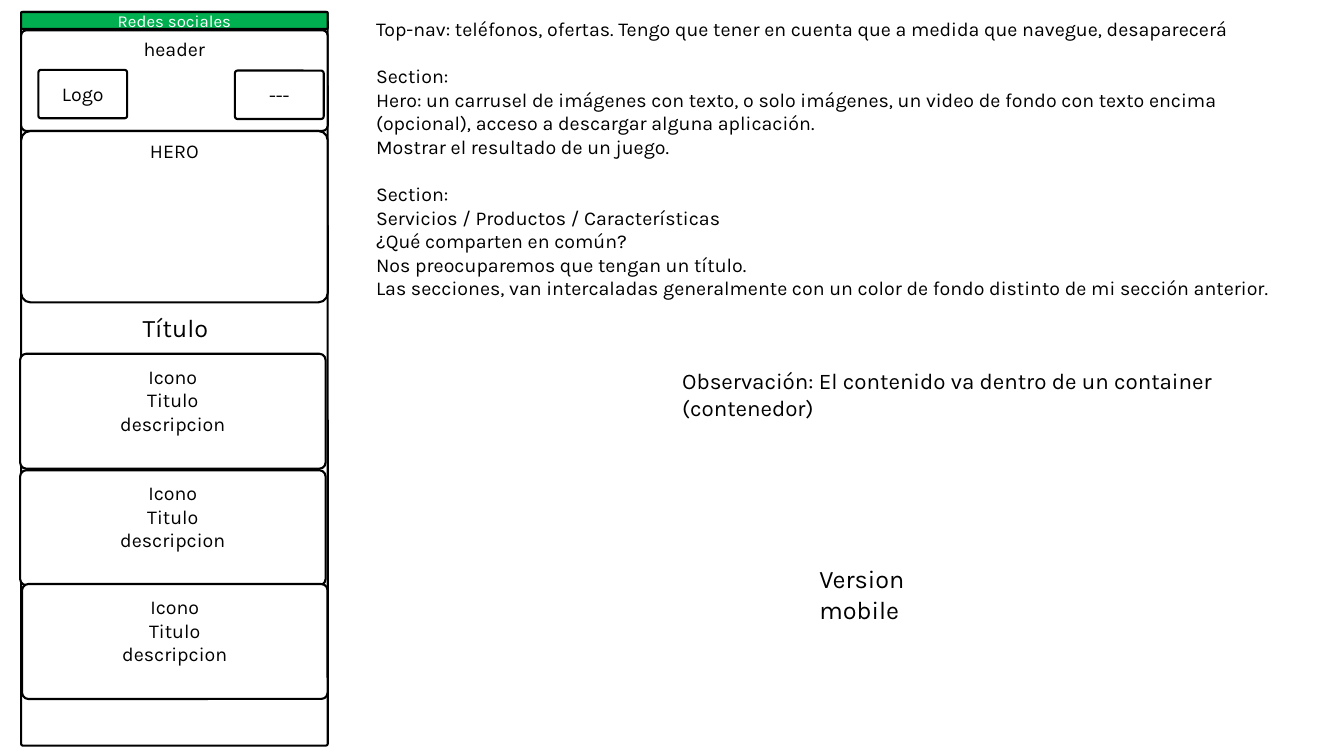
import pptx
import pptx.util
import pptx.dml.color
import pptx.enum.shapes
import pptx.enum.text
import pptx.oxml.ns
import lxml.etree

Pt = pptx.util.Pt
Align = pptx.enum.text.PP_ALIGN
Anchor = pptx.enum.text.MSO_ANCHOR
BLACK = pptx.dml.color.RGBColor(0, 0, 0)
WHITE = pptx.dml.color.RGBColor(255, 255, 255)
GREEN = pptx.dml.color.RGBColor(0, 176, 80)
LINE = Pt(16.9)  # height of one line at 14 points


def write(shape, lines, size=14, color=BLACK, align=Align.LEFT, **frame):
    text = shape.text_frame
    base = {"word_wrap": True, "vertical_anchor": Anchor.TOP,
            "auto_size": pptx.enum.text.MSO_AUTO_SIZE.NONE}
    for name, value in {**base, **frame}.items():
        setattr(text, name, value)
    text.text = "\n".join(lines)
    for para in text.paragraphs:
        gap = LINE if para.text == "Section:" else Pt(0)
        for name, value in {"alignment": align, "space_before": gap}.items():
            setattr(para, name, value)
        font = para.runs[0].font
        for name, value in {"name": "Karla", "size": Pt(size)}.items():
            setattr(font, name, value)
        font.color.rgb = color


def block(left, top, width, height, fill=WHITE, curve=0.054):
    kind = pptx.enum.shapes.MSO_SHAPE.ROUNDED_RECTANGLE
    box = slide.shapes.add_shape(kind, Pt(left), Pt(top), Pt(width), Pt(height))
    box.adjustments[0] = curve
    box.shadow.inherit = False
    box.fill.solid()
    box.fill.fore_color.rgb = fill
    box.line.color.rgb = BLACK
    box.line.width = Pt(1.5)
    return box


deck = pptx.Presentation()
deck.slide_width, deck.slide_height = Pt(960), Pt(540)
slide = deck.slides.add_slide(deck.slide_layouts[1])
title, body = slide.placeholders

# Title and notes
places = [(title, 578, 399, 131, 50), (body, 261.4, 8.6, 683, 211)]
for shape, *place in places:
    for name, value in zip(("left", "top", "width", "height"), place):
        setattr(shape, name, Pt(value))
write(title, ["Version mobile"], size=18)
write(body, [
    "Top-nav: teléfonos, ofertas. Tengo que tener en cuenta que a medida que navegue, desaparecerá",
    "Section:",
    "Hero: un carrusel de imágenes con texto, o solo imágenes, un video de fondo con texto encima (opcional), acceso a descargar alguna aplicación.",
    "Mostrar el resultado de un juego.",
    "Section:",
    "Servicios / Productos / Características",
    "¿Qué comparten en común?",
    "Nos preocuparemos que tengan un título.",
    "Las secciones, van intercaladas generalmente con un color de fondo distinto de mi sección anterior.",
])
for para in body.text_frame.paragraphs:
    props = para._p.get_or_add_pPr()
    props.set("marL", "0")
    props.set("indent", "0")
    lxml.etree.SubElement(props, pptx.oxml.ns.qn("a:buNone"))

# Phone frame and top bar
block(15.1, 8.6, 219, 524, curve=0.006)
bar = block(15.1, 8.6, 219, 12.2, fill=GREEN)
write(bar, ["Redes sociales"], size=12, color=WHITE, align=Align.CENTER,
      vertical_anchor=Anchor.MIDDLE)

# Header and hero
for label, top, height in [("header", 21.6, 72), ("HERO", 93.6, 122.4)]:
    write(block(15.1, top, 219, height), [label], align=Align.CENTER)

# Header buttons
for label, left, top in [("Logo", 27.4, 49.9), ("---", 167.8, 50.4)]:
    write(block(left, top, 63.4, 34.6), [label], align=Align.CENTER,
          vertical_anchor=Anchor.MIDDLE)

# Service cards
for left, top in [(14.4, 252.7), (14.4, 335.9), (15.8, 417.2)]:
    write(block(left, top, 218.2, 82.1), ["Icono", "Titulo", "descripcion"],
          align=Align.CENTER, margin_top=Pt(6.5))

# Section heading and remark
labels = [
    ("Título", 17.3, 219.6, 216, 28.8, 18, Align.CENTER),
    ("Observación: El contenido va dentro de un container (contenedor)",
     480.2, 258.5, 465, 46, 16, Align.LEFT),
]
for label, left, top, width, height, size, align in labels:
    box = slide.shapes.add_textbox(Pt(left), Pt(top), Pt(width), Pt(height))
    write(box, [label], size=size, align=align)

deck.save("out.pptx")
